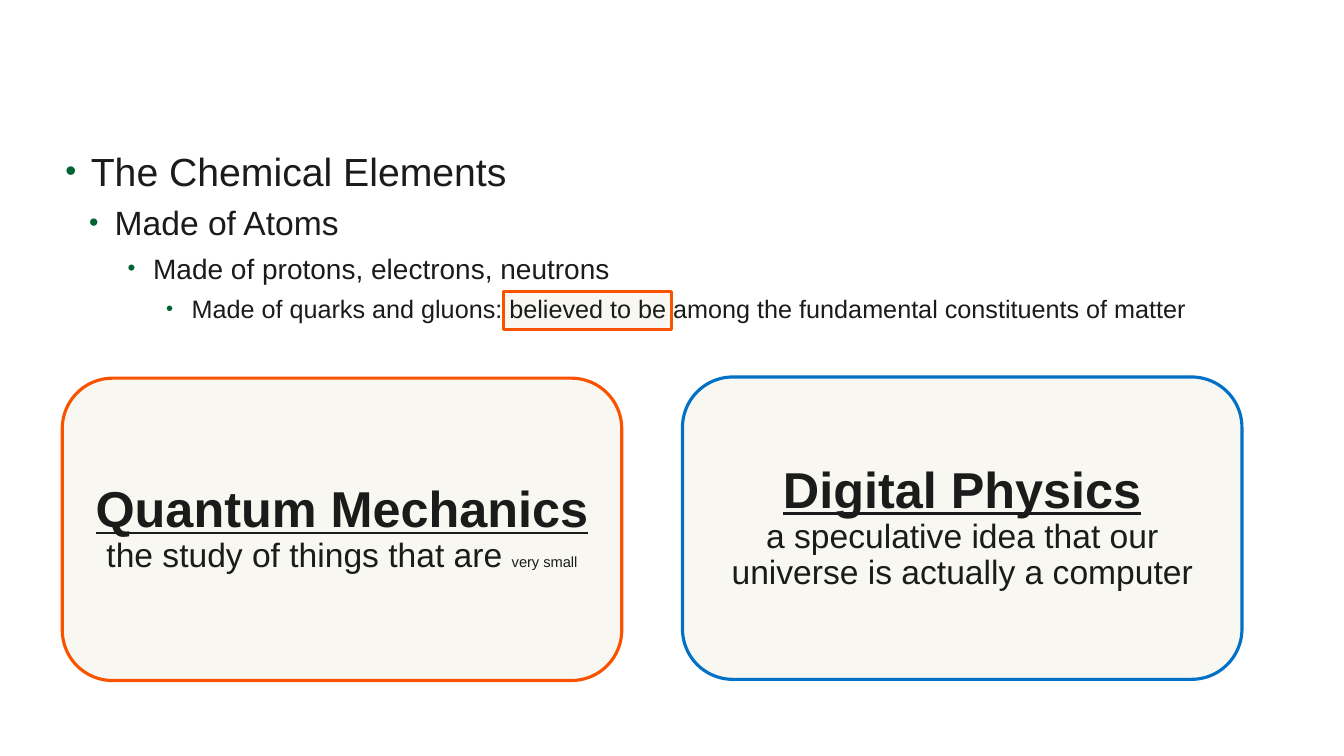
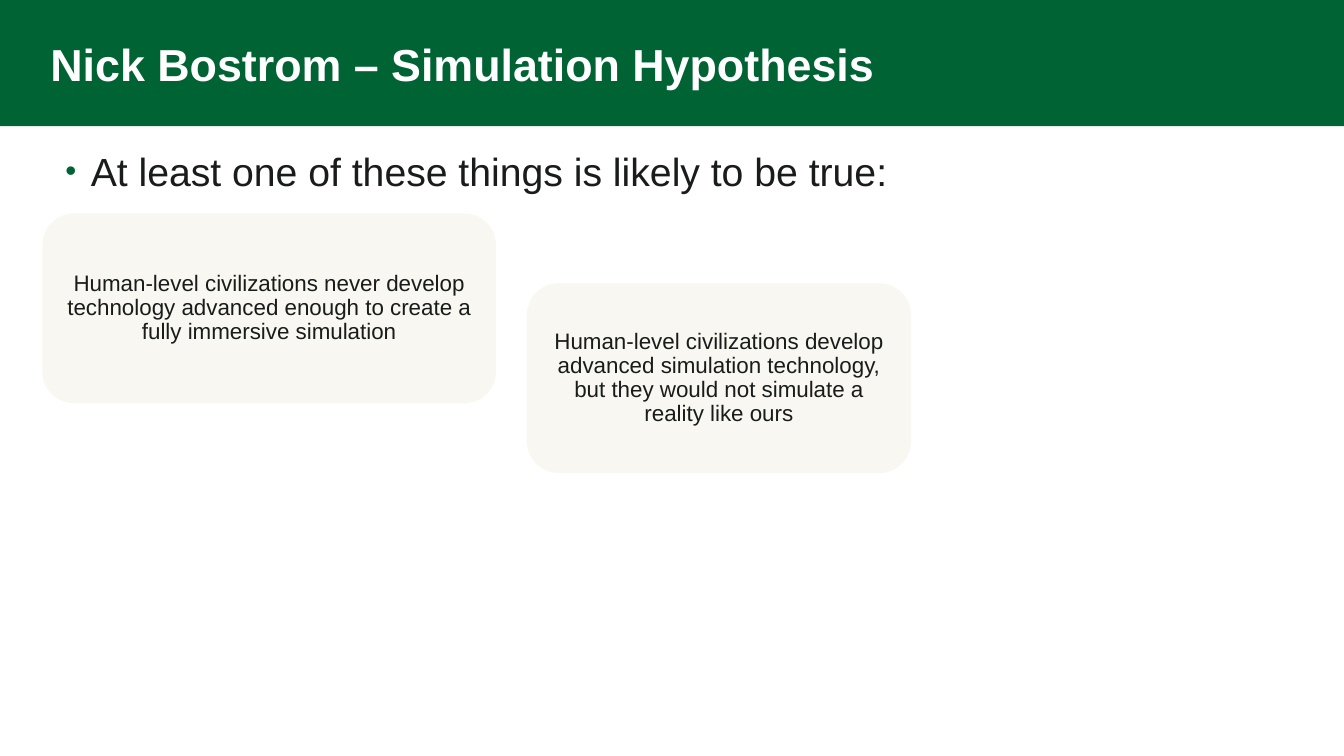
"""Build two slides on the building blocks of matter and the simulation hypothesis."""
from dataclasses import dataclass

from lxml import etree
from pptx import Presentation
from pptx.dml.color import RGBColor
from pptx.enum.shapes import MSO_SHAPE
from pptx.enum.text import MSO_ANCHOR, PP_ALIGN
from pptx.oxml.ns import qn
from pptx.shapes.autoshape import Shape
from pptx.slide import Slide
from pptx.text.text import TextFrame, _Paragraph
from pptx.util import Cm, Pt

RECTANGLE = MSO_SHAPE.RECTANGLE
ROUNDED = MSO_SHAPE.ROUNDED_RECTANGLE
MIDDLE, TOP = MSO_ANCHOR.MIDDLE, MSO_ANCHOR.TOP
CENTER, LEFT = PP_ALIGN.CENTER, PP_ALIGN.LEFT

COLORS = {
    "green": "006334",
    "ink": "191C1A",
    "white": "FFFFFF",
    "cream": "F8F7F2",
    "orange": "F95300",
    "blue": "0071C7",
}
FONT = "Arial"
SLIDE_WIDTH, SLIDE_HEIGHT = 33.87, 19.05
BAND_HEIGHT = 3.18
INSET = 0.25
HANGING = 0.64
BULLET_INDENTS = (0.97, 1.57, 2.54, 3.51)
BULLET_SIZES = (28, 24, 20, 18)


@dataclass(frozen=True)
class Area:
    """Place and size in centimetres."""
    left: float
    top: float
    width: float
    height: float

    def lengths(self) -> tuple[Cm, Cm, Cm, Cm]:
        """Return the four lengths in drawing order."""
        return Cm(self.left), Cm(self.top), Cm(self.width), Cm(self.height)


@dataclass(frozen=True)
class Span:
    """Text with a single style."""
    text: str
    size: float
    heading: bool = False


@dataclass(frozen=True)
class Card:
    """Rounded box whose lines are made of spans."""
    area: Area
    lines: tuple[tuple[Span, ...], ...]
    border: str | None = None


def rgb(name: str) -> RGBColor:
    """Look up a colour by name."""
    return RGBColor.from_string(COLORS[name])


def add_span(para: _Paragraph, text: str, size: float, color: str = "ink",
             bold: bool = False, underline: bool = False) -> None:
    """Append one styled run to a paragraph."""
    span = para.add_run()
    span.text = text
    span.font.name = FONT
    span.font.size = Pt(size)
    span.font.bold = bold
    span.font.underline = underline
    span.font.color.rgb = rgb(color)


def set_frame(frame: TextFrame, anchor: MSO_ANCHOR, left: float = INSET,
              bottom: float = INSET) -> None:
    """Set wrapping, anchor and insets of a text frame."""
    frame.word_wrap = True
    frame.vertical_anchor = anchor
    frame.margin_left, frame.margin_bottom = Cm(left), Cm(bottom)
    frame.margin_top = frame.margin_right = Cm(INSET)


def next_para(frame: TextFrame, index: int) -> _Paragraph:
    """Return the first paragraph, or a new one after it."""
    return frame.add_paragraph() if index else frame.paragraphs[0]


def add_box(page: Slide, kind: MSO_SHAPE, area: Area, fill: str,
            border: str | None = None) -> Shape:
    """Draw a flat filled shape with an optional border."""
    box = page.shapes.add_shape(kind, *area.lengths())
    box.shadow.inherit = False
    box.fill.solid()
    box.fill.fore_color.rgb = rgb(fill)
    if border:
        box.line.color.rgb = rgb(border)
        box.line.width = Pt(2.25)
    else:
        box.line.fill.background()
    return box


def add_title(page: Slide, text: str) -> None:
    """Draw the title on its full-width band."""
    band = add_box(page, RECTANGLE, Area(0, 0, SLIDE_WIDTH, BAND_HEIGHT), "green")
    set_frame(band.text_frame, MIDDLE, left=1.27, bottom=0)
    para = band.text_frame.paragraphs[0]
    para.alignment = LEFT
    para.line_spacing = 0.85
    add_span(para, text, 32, "white", bold=True)


def set_bullet(para: _Paragraph, level: int) -> None:
    """Give a paragraph a green bullet and the indent of its level."""
    para.level = level
    props = para._p.get_or_add_pPr()
    props.set("marL", str(Cm(BULLET_INDENTS[level])))
    props.set("indent", str(-Cm(HANGING)))
    color = etree.SubElement(props, qn("a:buClr"))
    etree.SubElement(color, qn("a:srgbClr"), val=COLORS["green"])
    etree.SubElement(props, qn("a:buSzPct"), val="80000")
    etree.SubElement(props, qn("a:buFont"), typeface=FONT)
    etree.SubElement(props, qn("a:buChar"), char="•")


def add_bullets(page: Slide, lines: tuple[str, ...], height: float) -> None:
    """Write bullets, each one level deeper than the last."""
    box = page.shapes.add_textbox(*Area(1.07, 3.45, 31.75, height).lengths())
    set_frame(box.text_frame, TOP)
    for level, text in enumerate(lines):
        para = next_para(box.text_frame, level)
        set_bullet(para, level)
        para.space_after = Pt(6)
        add_span(para, text, BULLET_SIZES[level])


def add_card(page: Slide, card: Card) -> None:
    """Draw a rounded card with centred text."""
    box = add_box(page, ROUNDED, card.area, "cream", card.border)
    set_frame(box.text_frame, MIDDLE)
    for index, line in enumerate(card.lines):
        para = next_para(box.text_frame, index)
        para.alignment = CENTER
        para.line_spacing = 0.9
        for span in line:
            add_span(para, span.text, span.size, bold=span.heading,
                     underline=span.heading)


MATTER_BULLETS = (
    "The Chemical Elements",
    "Made of Atoms",
    "Made of protons, electrons, neutrons",
    "Made of quarks and gluons: believed to be among the fundamental "
    "constituents of matter",
)
THEORY_CARDS = (
    Card(Area(1.57, 9.53, 14.1, 7.62), (
        (Span("Quantum Mechanics", 36, True),),
        (Span("the study of things that are ", 24), Span("very small", 10.5)),
    ), "orange"),
    Card(Area(17.2, 9.5, 14.1, 7.62), (
        (Span("Digital Physics", 36, True),),
        (Span("a speculative idea that our universe is actually a computer", 24),),
    ), "blue"),
)
HYPOTHESIS_CARDS = (
    Card(Area(1.07, 5.38, 11.43, 4.78), ((Span(
        "Human-level civilizations never develop technology advanced enough "
        "to create a fully immersive simulation", 16),),)),
    Card(Area(13.28, 7.14, 9.68, 4.78), ((Span(
        "Human-level civilizations develop advanced simulation technology, "
        "but they would not simulate a reality like ours", 16),),)),
)


def build_matter(page: Slide) -> None:
    """Build the slide on matter and its theories."""
    add_box(page, RECTANGLE, Area(12.7, 7.34, 4.22, 0.97), "cream", "orange")
    add_bullets(page, MATTER_BULLETS, 6.07)
    for card in THEORY_CARDS:
        add_card(page, card)


def build_hypothesis(page: Slide) -> None:
    """Build the slide on the simulation hypothesis."""
    add_title(page, "Nick Bostrom – Simulation Hypothesis")
    add_bullets(page, ("At least one of these things is likely to be true:",), 1.63)
    for card in HYPOTHESIS_CARDS:
        add_card(page, card)


def main() -> None:
    """Build and save the deck."""
    deck = Presentation()
    deck.slide_width, deck.slide_height = Cm(SLIDE_WIDTH), Cm(SLIDE_HEIGHT)
    for build in (build_matter, build_hypothesis):
        build(deck.slides.add_slide(deck.slide_layouts[6]))
    deck.save("out.pptx")


if __name__ == "__main__":
    main()
